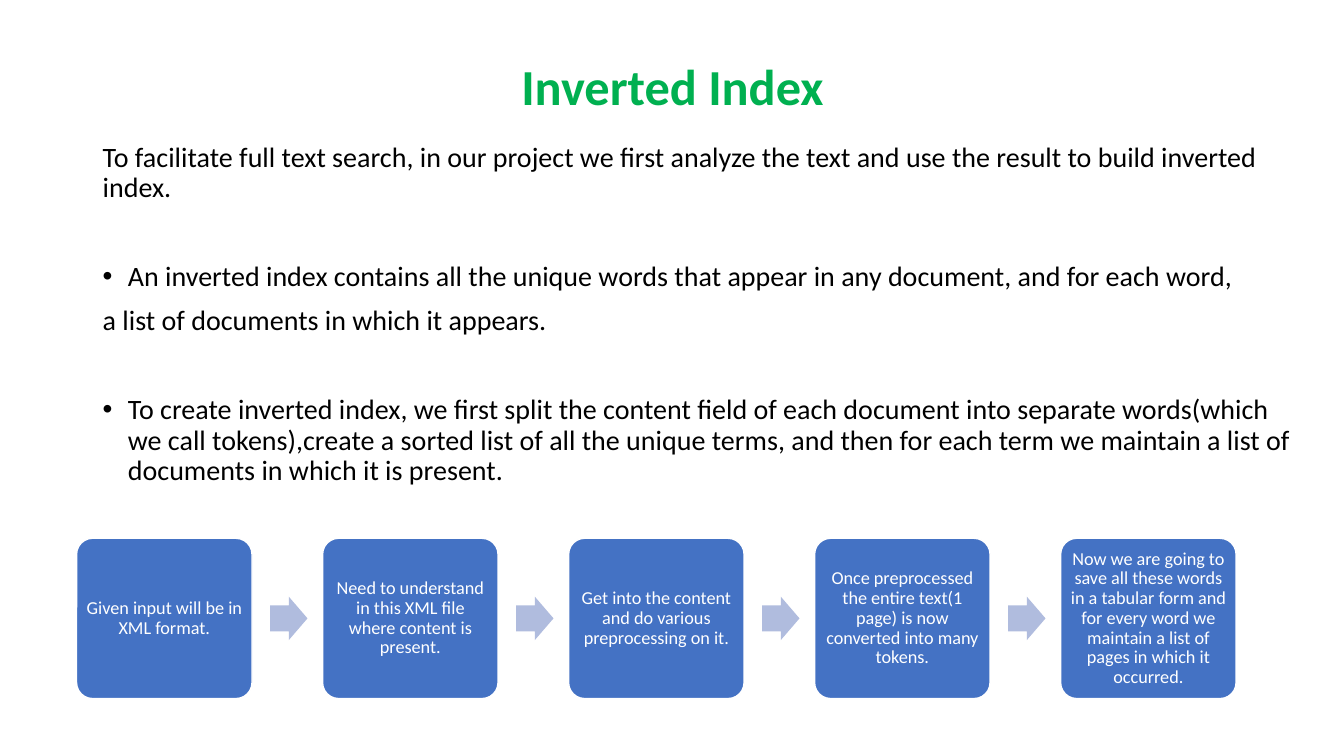
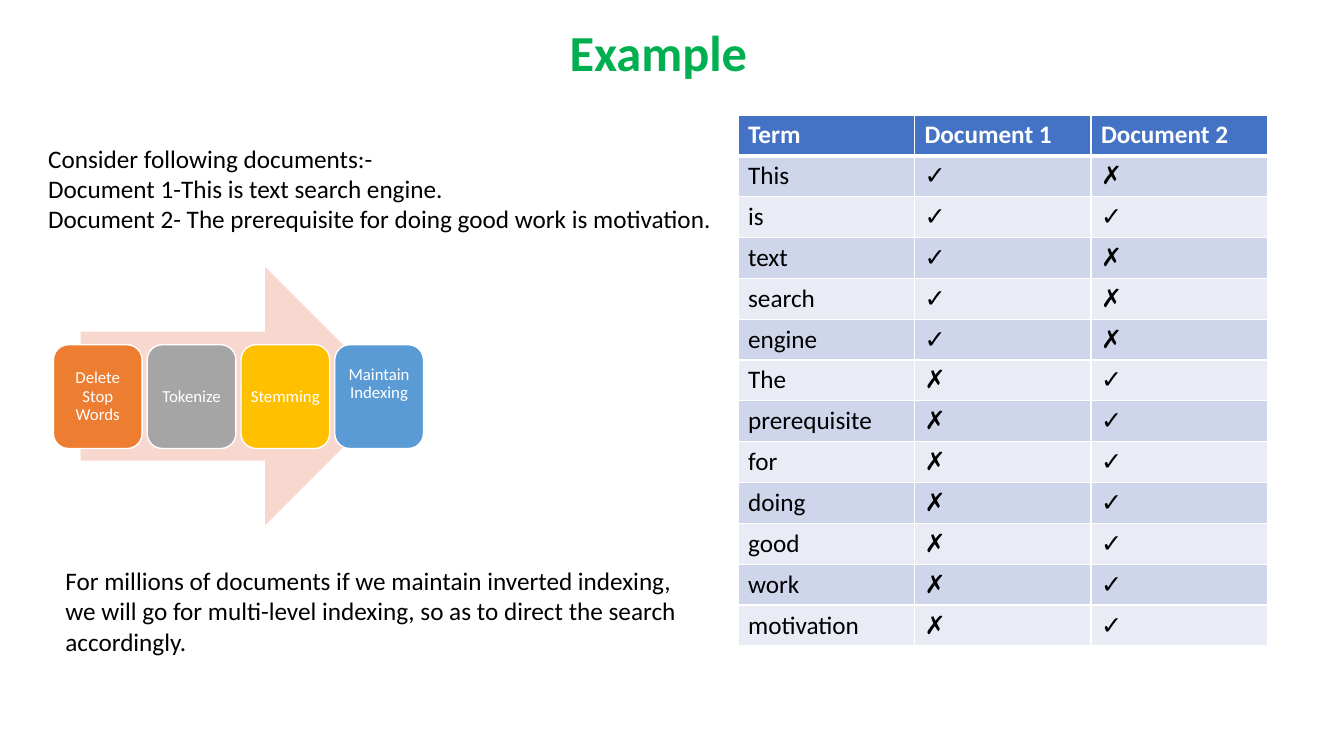
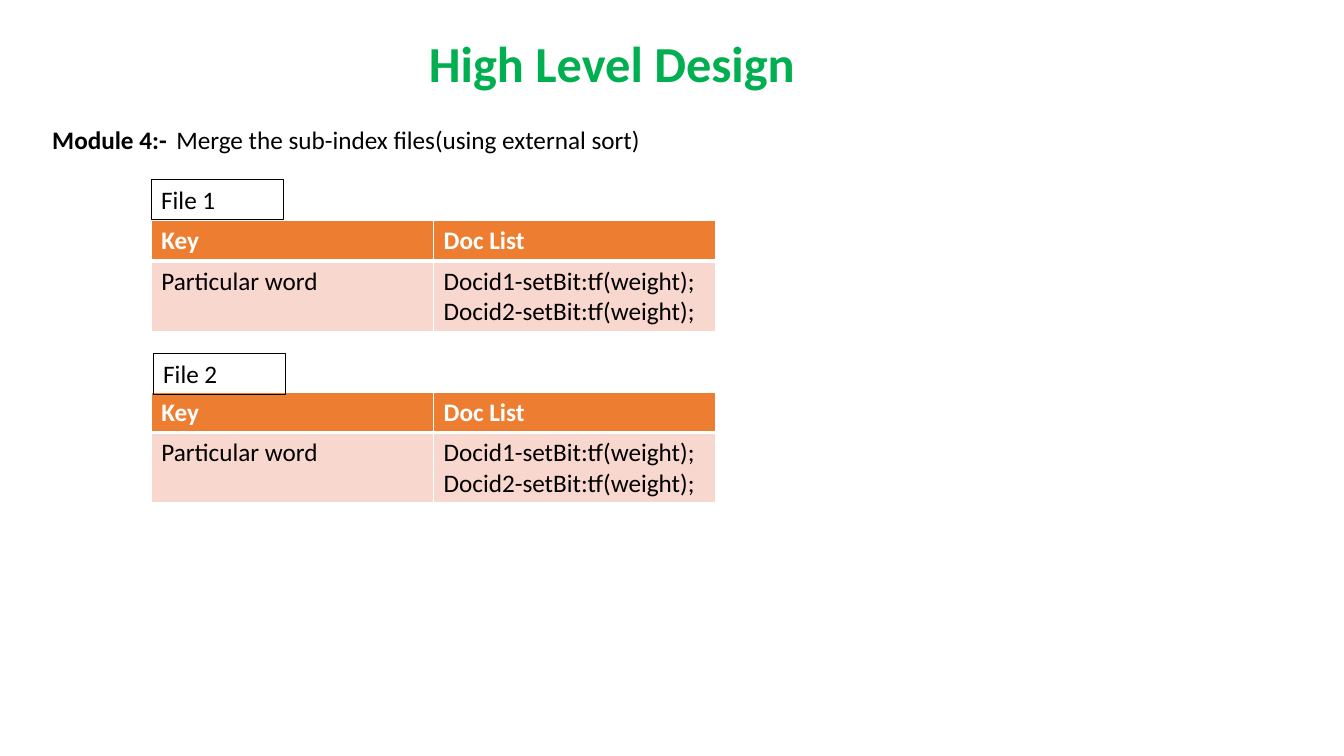
from dataclasses import dataclass

from lxml import etree
from pptx import Presentation
from pptx.dml.color import RGBColor
from pptx.enum.shapes import MSO_SHAPE
from pptx.enum.text import MSO_ANCHOR, MSO_AUTO_SIZE, PP_ALIGN
from pptx.oxml.ns import qn
from pptx.util import Inches, Pt

ROUNDED = MSO_SHAPE.ROUNDED_RECTANGLE
RECTANGLE = MSO_SHAPE.RECTANGLE
RIGHT_ARROW = MSO_SHAPE.RIGHT_ARROW
LEFT, CENTER = PP_ALIGN.LEFT, PP_ALIGN.CENTER
TOP, MIDDLE = MSO_ANCHOR.TOP, MSO_ANCHOR.MIDDLE
NO_AUTOFIT = MSO_AUTO_SIZE.NONE
TITLE_ONLY = 5


@dataclass(frozen=True)
class Theme:
    font: str = "Calibri"
    title_size: int = 36
    body_size: int = 20
    text_size: int = 18
    step_size: int = 13
    stage_size: int = 12
    black: str = "000000"
    white: str = "FFFFFF"
    green: str = "00B050"
    blue: str = "4472C4"
    pale_blue: str = "B0BCDE"
    band_dark: str = "CFD5EA"
    band_light: str = "E9EBF5"
    orange: str = "ED7D31"
    pale_orange: str = "F8D7CE"
    gray: str = "A5A5A5"
    gold: str = "FFC000"
    sky: str = "5B9BD5"


THEME = Theme()


def write_text(paragraph, text, size=THEME.text_size, color=THEME.black, bold=False,
               align=LEFT, line_spacing=None, space_before=0, bullet=False):
    if bullet:
        properties = paragraph._p.get_or_add_pPr()
        properties.set("marL", str(Inches(0.25)))
        properties.set("indent", str(Inches(-0.25)))
        etree.SubElement(properties, qn("a:buFont")).set("typeface", "Arial")
        etree.SubElement(properties, qn("a:buChar")).set("char", "•")
    paragraph.alignment = align
    paragraph.line_spacing = line_spacing
    paragraph.space_before = Pt(space_before)
    run = paragraph.add_run()
    run.text = text
    run.font.name = THEME.font
    run.font.size = Pt(size)
    run.font.bold = bold
    run.font.color.rgb = RGBColor.from_string(color)


def fill_frame(frame, items, **text_format):
    """Write one paragraph per item; an item is a text or a (text, format) pair."""
    for index, item in enumerate(items):
        text, extra = (item, {}) if isinstance(item, str) else item
        paragraph = frame.add_paragraph() if index else frame.paragraphs[0]
        write_text(paragraph, text, **{**text_format, **extra})


def set_cell_borders(cell, top, bottom):
    """Draw white borders; the side borders are one point wide."""
    properties = cell._tc.get_or_add_tcPr()
    sides = (("a:lnL", 1), ("a:lnR", 1), ("a:lnT", top), ("a:lnB", bottom))
    for position, (tag, width) in enumerate(sides):
        line = etree.Element(qn(tag), w=str(Pt(width)))
        fill = etree.SubElement(line, qn("a:solidFill"))
        etree.SubElement(fill, qn("a:srgbClr")).set("val", THEME.white)
        properties.insert(position, line)


class Deck:
    def __init__(self):
        self.presentation = Presentation()
        self.presentation.slide_width = Inches(13.33)
        self.presentation.slide_height = Inches(7.5)
        self.slide = None

    def new_slide(self, title, left, top):
        layout = self.presentation.slide_layouts[TITLE_ONLY]
        self.slide = self.presentation.slides.add_slide(layout)
        shape = self.slide.shapes.title
        shape.left, shape.top = Inches(left), Inches(top)
        shape.width, shape.height = Inches(11.5), Inches(0.97)
        frame = shape.text_frame
        frame.auto_size = NO_AUTOFIT
        frame.vertical_anchor = MIDDLE
        fill_frame(frame, [title], size=THEME.title_size, color=THEME.green,
                   bold=True, align=CENTER, line_spacing=0.9)

    def text(self, left, top, width, height, items, **text_format):
        shape = self.slide.shapes.add_textbox(
            Inches(left), Inches(top), Inches(width), Inches(height))
        shape.text_frame.word_wrap = True
        fill_frame(shape.text_frame, items, **text_format)

    def shape(self, kind, left, top, width, height, fill=None, line=None,
              line_width=1, adjustments=()):
        shape = self.slide.shapes.add_shape(
            kind, Inches(left), Inches(top), Inches(width), Inches(height))
        shape.shadow.inherit = False
        for index, value in enumerate(adjustments):
            shape.adjustments[index] = value
        if fill:
            shape.fill.solid()
            shape.fill.fore_color.rgb = RGBColor.from_string(fill)
        else:
            shape.fill.background()
        if line:
            shape.line.color.rgb = RGBColor.from_string(line)
            shape.line.width = Pt(line_width)
        else:
            shape.line.fill.background()
        return shape

    def card(self, left, top, width, height, text, fill, size, corner, lift=0):
        """Rounded card with centred text; lift is extra room below the text."""
        shape = self.shape(ROUNDED, left, top, width, height, fill, THEME.white,
                           adjustments=(corner,))
        frame = shape.text_frame
        frame.word_wrap = True
        frame.vertical_anchor = MIDDLE
        frame.margin_left = frame.margin_right = frame.margin_top = Inches(0.05)
        frame.margin_bottom = Inches(0.05 + lift)
        fill_frame(frame, [text], size=size, color=THEME.white, align=CENTER,
                   line_spacing=0.9)

    def label(self, left, top, text):
        shape = self.shape(RECTANGLE, left, top, 1.31, 0.4, line=THEME.black,
                           line_width=0.75)
        shape.text_frame.vertical_anchor = TOP
        fill_frame(shape.text_frame, [text])

    def table(self, left, top, column_width, row_heights, rows, header_fill, bands):
        """Table with a header row; a cell holds one paragraph per text line."""
        columns = len(rows[0])
        table = self.slide.shapes.add_table(
            len(rows), columns, Inches(left), Inches(top),
            Inches(column_width * columns), Inches(sum(row_heights))).table
        for column in table.columns:
            column.width = Inches(column_width)
        for row_index, (texts, height) in enumerate(zip(rows, row_heights)):
            header = row_index == 0
            table.rows[row_index].height = Inches(height)
            fill = header_fill if header else bands[(row_index - 1) % len(bands)]
            for column_index, text in enumerate(texts):
                cell = table.cell(row_index, column_index)
                cell.fill.solid()
                cell.fill.fore_color.rgb = RGBColor.from_string(fill)
                set_cell_borders(cell, top=3 if row_index == 1 else 1,
                                 bottom=3 if header else 1)
                fill_frame(cell.text_frame, text.split("\n"), bold=header,
                           color=THEME.white if header else THEME.black)


def build_inverted_index(deck):
    deck.new_slide("Inverted Index", 0.92, 0.4)
    new_point = {"bullet": True, "space_before": 42}
    deck.text(0.92, 1.37, 11.98, 3.7, [
        "To facilitate full text search, in our project we first analyze the text "
        "and use the result to build inverted index.",
        ("An inverted index contains all the unique words that appear in any "
         "document, and for each word,", new_point),
        ("a list of documents in which it appears.", {"space_before": 10}),
        ("To create inverted index, we first split the content field of each "
         "document into separate words(which we call tokens),create a sorted list "
         "of all the unique terms, and then for each term we maintain a list of "
         "documents in which it is present.", new_point),
    ], size=THEME.body_size, line_spacing=0.9)

    steps = [
        "Given input will be in XML format.",
        "Need to understand in this XML file where content is present.",
        "Get into the content and do various preprocessing on it.",
        "Once preprocessed the entire text(1 page) is now converted into many tokens.",
        "Now we are going to save all these words in a tabular form and for every "
        "word we maintain a list of pages in which it occurred.",
    ]
    for index, step in enumerate(steps):
        left = 0.76 + index * 2.44
        if index:
            deck.shape(RIGHT_ARROW, left - 0.52, 5.92, 0.37, 0.43, THEME.pale_blue,
                       adjustments=(0.6, 0.5))
        deck.card(left, 5.34, 1.74, 1.59, step, THEME.blue, THEME.step_size, 0.1)


def build_example(deck):
    deck.new_slide("Example", 0.78, 0.06)
    deck.text(0.38, 1.37, 6.9, 1.01, [
        "Consider following documents:-",
        "Document 1-This is text search engine.",
        "Document 2- The prerequisite for doing good work is motivation.",
    ])

    first = "This is text search engine".split()
    second = "The prerequisite for doing good work is motivation".split()
    terms = first + [word for word in second if word not in first]
    rows = [["Term", "Document 1", "Document 2"]]
    for term in terms:
        rows.append([term] + ["✓" if term in words else "✗"
                              for words in (first, second)])
    deck.table(7.32, 1.14, 1.75, [5.27 / len(rows)] * len(rows), rows, THEME.blue,
               (THEME.band_dark, THEME.band_light))

    deck.shape(RIGHT_ARROW, 0.8, 2.65, 3.11, 2.56, THEME.pale_orange)
    stages = [
        ("Delete Stop Words", THEME.orange, 0),
        ("Tokenize", THEME.gray, 0),
        ("Stemming", THEME.gold, 0),
        ("Maintain Indexing", THEME.sky, 0.24),
    ]
    for index, (stage, fill, lift) in enumerate(stages):
        deck.card(0.53 + index * 0.93, 3.42, 0.88, 1.03, stage, fill,
                  THEME.stage_size, 0.17, lift)

    deck.text(0.55, 5.56, 6.51, 1.01, [
        "For millions of documents if we maintain inverted indexing,",
        "we will go for multi-level indexing, so as to direct the search accordingly.",
    ])


def build_high_level_design(deck):
    deck.new_slide("High Level Design", 0.32, 0.17)
    deck.text(0.42, 1.18, 1.4, 0.4, ["Module 4:-"], bold=True)
    deck.text(1.65, 1.18, 5.45, 0.4, ["Merge the sub-index files(using external sort)"])

    rows = [
        ["Key", "Doc List"],
        ["Particular word", "Docid1-setBit:tf(weight);\nDocid2-setBit:tf(weight);"],
    ]
    files = [("File 1", 1.5, 1.78, 2.19), ("File 2", 1.52, 3.51, 3.89)]
    for name, label_left, label_top, table_top in files:
        deck.table(1.5, table_top, 2.8, (0.4, 0.7), rows, THEME.orange,
                   (THEME.pale_orange,))
        deck.label(label_left, label_top, name)


def main():
    deck = Deck()
    build_inverted_index(deck)
    build_example(deck)
    build_high_level_design(deck)
    deck.presentation.save("out.pptx")


if __name__ == "__main__":
    main()
